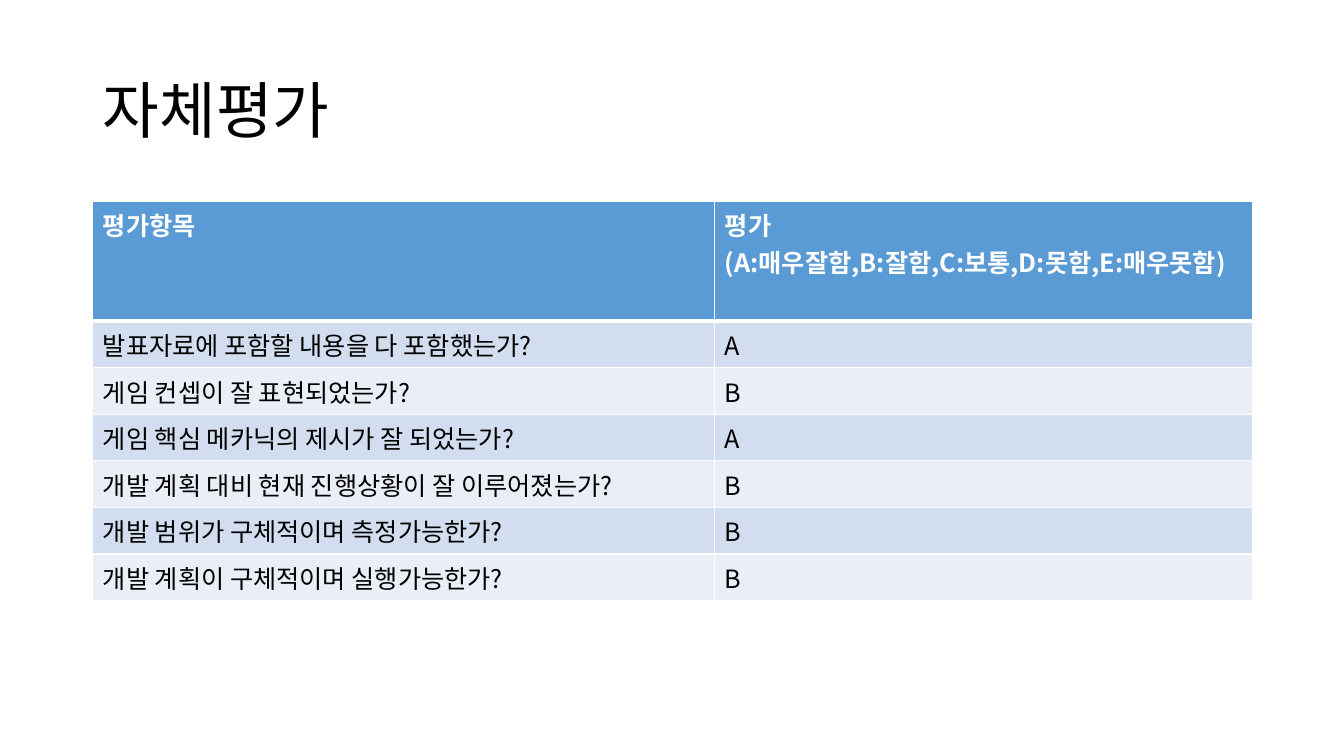
from pptx import Presentation
from pptx.dml.color import RGBColor
from pptx.enum.text import MSO_ANCHOR
from pptx.oxml.ns import qn
from pptx.util import Inches, Pt
from lxml import etree

FONT = "Noto Sans CJK KR"
BLACK = RGBColor(0x00, 0x00, 0x00)
WHITE = RGBColor(0xFF, 0xFF, 0xFF)
BLUE = RGBColor(0x5B, 0x9B, 0xD5)
BANDS = [RGBColor(0xEA, 0xEF, 0xF7), RGBColor(0xD2, 0xDE, 0xEF)]

ROWS = [
    ("평가항목", "평가\n(A:매우잘함,B:잘함,C:보통,D:못함,E:매우못함)"),
    ("발표자료에 포함할 내용을 다 포함했는가?", "A"),
    ("게임 컨셉이 잘 표현되었는가?", "B"),
    ("게임 핵심 메카닉의 제시가 잘 되었는가?", "A"),
    ("개발 계획 대비 현재 진행상황이 잘 이루어졌는가?", "B"),
    ("개발 범위가 구체적이며 측정가능한가?", "B"),
    ("개발 계획이 구체적이며 실행가능한가?", "B"),
]


def style(frame, size, color, bold=False):
    """Format every run, with the same font for Latin and Korean text."""
    for para in frame.paragraphs:
        for run in para.runs:
            font = run.font
            font.name, font.size, font.bold = FONT, Pt(size), bold
            font.color.rgb = color
            asian = etree.SubElement(run._r.get_or_add_rPr(), qn("a:ea"))
            asian.set("typeface", FONT)


def border(cell, side, width):
    line = etree.SubElement(cell._tc.get_or_add_tcPr(), qn("a:ln" + side))
    line.set("w", str(Pt(width)))
    fill = etree.SubElement(line, qn("a:solidFill"))
    etree.SubElement(fill, qn("a:srgbClr")).set("val", str(WHITE))


prs = Presentation()
prs.slide_width, prs.slide_height = Inches(13.33), Inches(7.5)
slide = prs.slides.add_slide(prs.slide_layouts[5])

title = slide.shapes.title
title.left, title.top = Inches(0.92), Inches(0.4)
title.width, title.height = Inches(11.5), Inches(1.45)
frame = title.text_frame
frame.text = "자체평가"
frame.vertical_anchor = MSO_ANCHOR.MIDDLE
frame.paragraphs[0].line_spacing = 0.9
frame.paragraphs[0].alignment = 1
style(frame, 44, BLACK)

table = slide.shapes.add_table(len(ROWS), 2, Inches(0.92), Inches(2),
                               Inches(11.5), Inches(3.13)).table
for col, width in zip(table.columns, (6.17, 5.33)):
    col.width = Inches(width)

for r, texts in enumerate(ROWS):
    table.rows[r].height = Inches(0.41)
    head = r == 0
    for c, text in enumerate(texts):
        cell = table.cell(r, c)
        cell.text_frame.text = text
        style(cell.text_frame, 18, WHITE if head else BLACK, head)
        for side in "LRTB":
            thick = (r, side) in ((0, "B"), (1, "T"))
            border(cell, side, 3 if thick else 1)
        cell.fill.solid()
        cell.fill.fore_color.rgb = BLUE if head else BANDS[r % 2]

prs.save("out.pptx")
